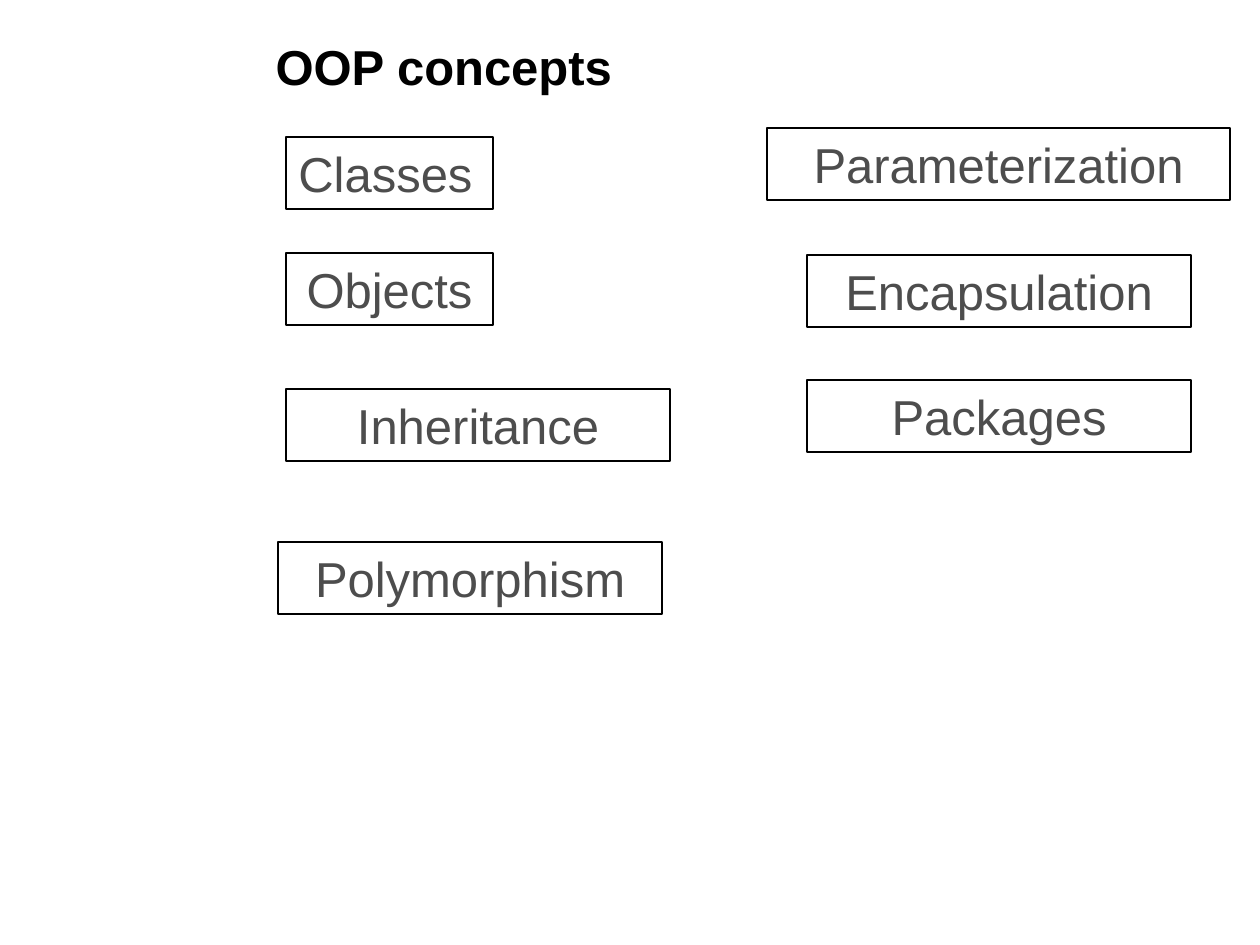
from pptx import Presentation
from pptx.dml.color import RGBColor
from pptx.enum.shapes import MSO_SHAPE
from pptx.enum.text import MSO_ANCHOR, MSO_AUTO_SIZE, PP_ALIGN
from pptx.util import Emu, Pt

EMU_PER_INCH = 914400
PX_PER_INCH = 126
BOX_HEIGHT = 72
NARROW, MEDIUM, WIDE = 207, 384, 463
TITLE_FONT = {"name": "Arial", "size": Pt(28), "bold": True}
CONCEPT_FONT = {"name": "Arial", "size": Pt(28), "bold": False}

# Each concept: text, left and top within its column, width, alignment
BASIC_CONCEPTS = [
    ("Classes", 8, 0, NARROW, PP_ALIGN.LEFT),
    ("Objects", 8, 116, NARROW, PP_ALIGN.CENTER),
    ("Inheritance", 8, 252, MEDIUM, PP_ALIGN.CENTER),
    ("Polymorphism", 0, 405, MEDIUM, PP_ALIGN.CENTER),
]
FURTHER_CONCEPTS = [
    ("Parameterization", 0, 0, WIDE, PP_ALIGN.CENTER),
    ("Encapsulation", 40, 127, MEDIUM, PP_ALIGN.CENTER),
    ("Packages", 40, 252, MEDIUM, PP_ALIGN.CENTER),
]


def px(length):
    return Emu(round(length * EMU_PER_INCH / PX_PER_INCH))


def color(hex_value):
    return RGBColor.from_string(hex_value)


def set_attributes(target, values):
    for name, value in values.items():
        setattr(target, name, value)


def write_text(holder, text, font, font_color, align, frame_format):
    frame = holder.text_frame
    set_attributes(frame, {"word_wrap": True, **frame_format})
    paragraph = frame.paragraphs[0]
    paragraph.alignment = align
    run = paragraph.add_run()
    run.text = text
    set_attributes(run.font, font)
    run.font.color.rgb = color(font_color)


def place_title(slide, left, top, width, height):
    title = slide.shapes.title
    set_attributes(title, {"left": px(left), "top": px(top),
                           "width": px(width), "height": px(height)})
    write_text(title, "OOP concepts", TITLE_FONT, "000000", PP_ALIGN.LEFT,
               {"vertical_anchor": MSO_ANCHOR.MIDDLE,
                "auto_size": MSO_AUTO_SIZE.NONE})


def add_concept_column(slide, left, top, concepts):
    for text, offset_x, offset_y, width, align in concepts:
        concept = slide.shapes.add_shape(
            MSO_SHAPE.RECTANGLE, px(left + offset_x), px(top + offset_y),
            px(width), px(BOX_HEIGHT))
        concept.shadow.inherit = False
        concept.fill.background()
        concept.line.color.rgb = color("000000")
        concept.line.width = Pt(0.75)
        write_text(concept, text, CONCEPT_FONT, "4D4D4D", align,
                   {"vertical_anchor": MSO_ANCHOR.TOP,
                    "auto_size": MSO_AUTO_SIZE.SHAPE_TO_FIT_TEXT})


def main():
    presentation = Presentation()
    presentation.slide_width = px(1260)
    presentation.slide_height = px(945)
    title_only = presentation.slide_layouts[5]
    slide = presentation.slides.add_slide(title_only)
    place_title(slide, 263, 16, 973, 100)
    add_concept_column(slide, 278, 137, BASIC_CONCEPTS)
    add_concept_column(slide, 767, 128, FURTHER_CONCEPTS)
    presentation.save("out.pptx")


if __name__ == "__main__":
    main()
